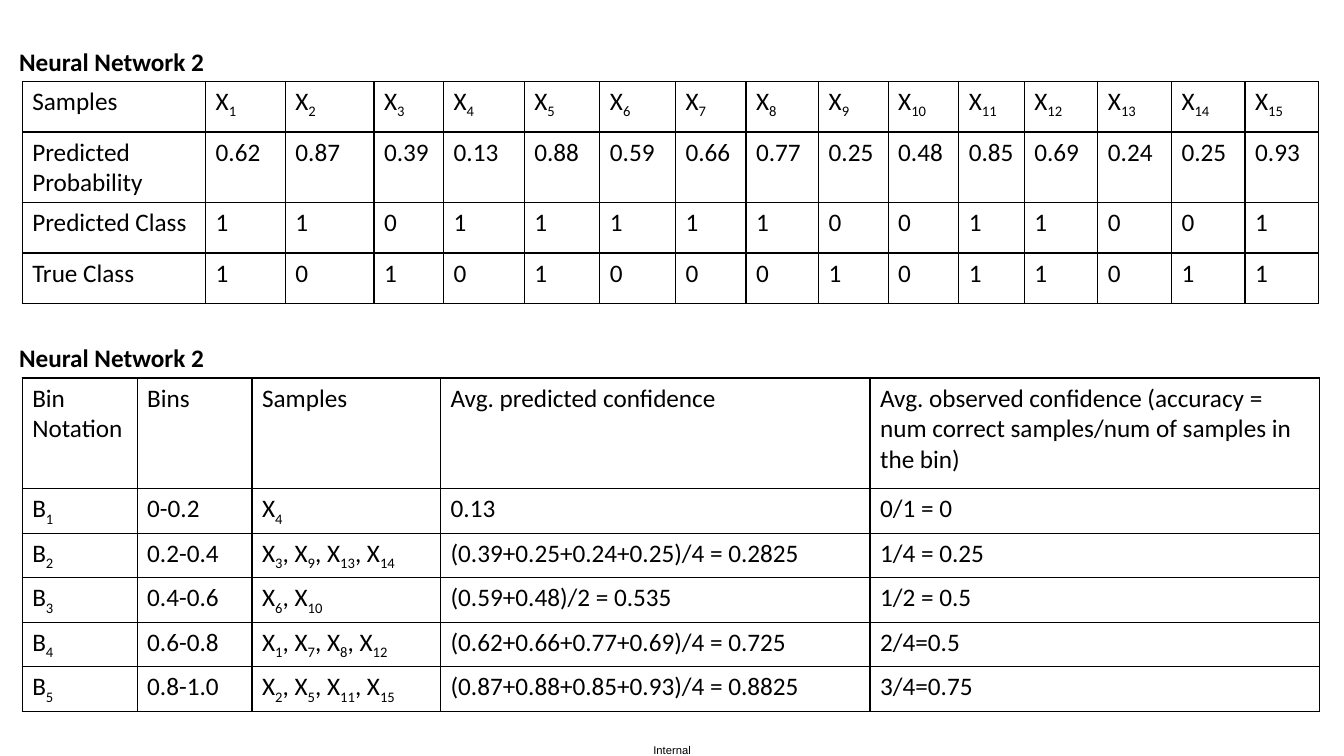
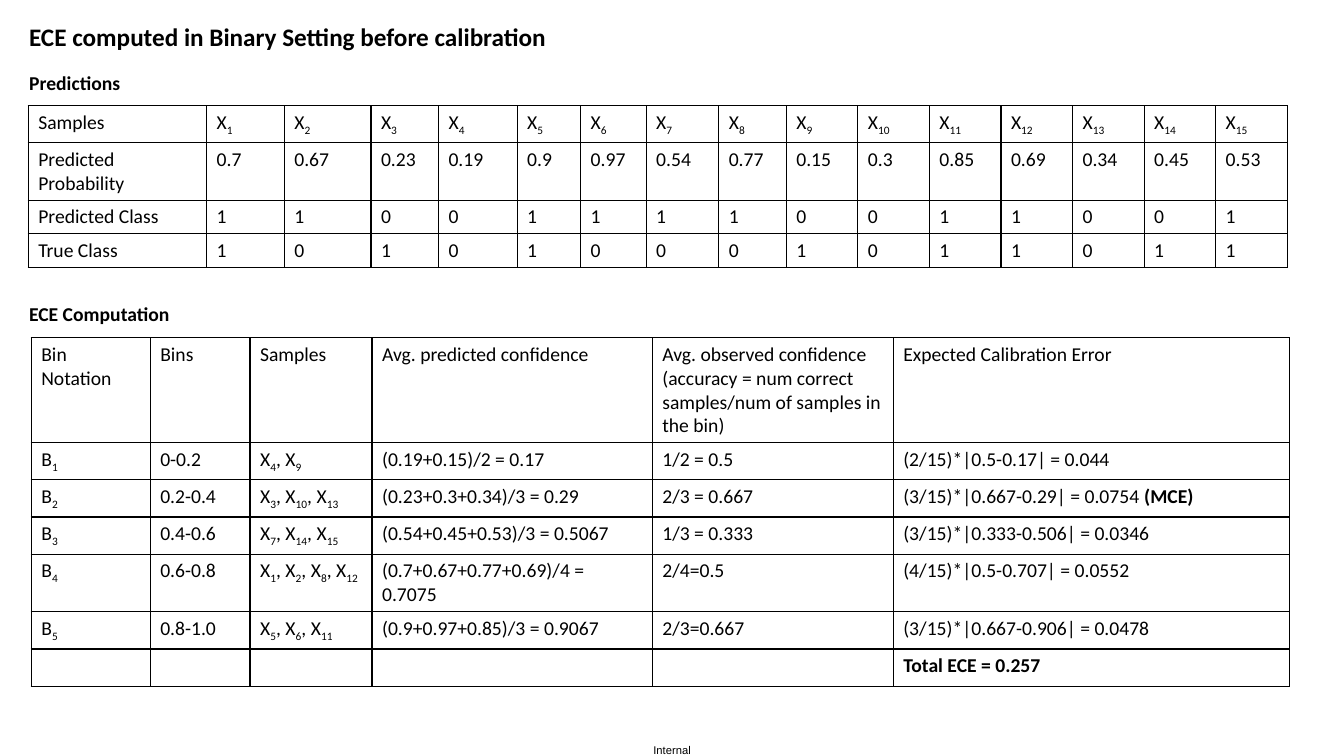
import itertools

import pptx
import pptx.dml.color
import pptx.enum.text
import pptx.oxml
import pptx.oxml.ns
import pptx.util
from pptx.util import Inches

INK = "000000"
PAPER = "FFFFFF"
BODY_FONT = "Calibri"
FOOTER_FONT = "Arial"
DIGITS = "0123456789"
BIN_RANGES = ["0-0.2", "0.2-0.4", "0.4-0.6", "0.6-0.8", "0.8-1.0"]
BIN_HEADER = [
    "Bin Notation",
    "Bins",
    "Samples",
    "Avg. predicted confidence",
    "Avg. observed confidence (accuracy = num correct samples/num of samples in the bin)",
]
TRUE_CLASSES = "101010001011011"
FRAME = {
    "word_wrap": True,
    "auto_size": pptx.enum.text.MSO_AUTO_SIZE.SHAPE_TO_FIT_TEXT,
}
NO_MARGINS = {f"margin_{side}": 0 for side in ("left", "top", "right", "bottom")}
PLAIN_TABLE = {"first_row": False, "horz_banding": False}


def colour(code):
    return pptx.dml.color.RGBColor.from_string(code)


def apply(target, values):
    for name, value in values.items():
        setattr(target, name, value)


def add_run(paragraph, text, size, bold=False, font=BODY_FONT, subscript=False):
    run = paragraph.add_run()
    run.text = text
    apply(run.font, {"name": font, "size": pptx.util.Pt(size), "bold": bold})
    run.font.color.rgb = colour(INK)
    if subscript:
        run.font._element.set("baseline", "-25000")


def write_marked(paragraph, text, size):
    """Write text in which _12 is a subscript and **word** is bold."""
    for index, span in enumerate(text.split("**")):
        bold = index % 2 == 1
        for position, part in enumerate(span.split("_")):
            rest = part.lstrip(DIGITS) if position else part
            subscript = part[: len(part) - len(rest)]
            if subscript:
                add_run(paragraph, subscript, size, bold, subscript=True)
            if rest:
                add_run(paragraph, rest, size, bold)


def set_empty_size(paragraph, size):
    ending = paragraph._p.get_or_add_endParaRPr()
    ending.set("sz", str(size * 100))


def add_borders(cell):
    properties = cell._tc.get_or_add_tcPr()
    for side in "LRTB":
        properties.append(pptx.oxml.parse_xml(
            f'<a:ln{side} {pptx.oxml.ns.nsdecls("a")} w="12700">'
            f'<a:solidFill><a:srgbClr val="{INK}"/></a:solidFill></a:ln{side}>'
        ))


def add_grid(slide, left, top, widths, heights, rows, size):
    grid = slide.shapes.add_table(
        len(rows), len(widths), Inches(left), Inches(top),
        Inches(sum(widths)), Inches(sum(heights)),
    ).table
    apply(grid, PLAIN_TABLE)
    for column, width in zip(grid.columns, widths):
        column.width = Inches(width)
    for row, height, texts in zip(grid.rows, heights, rows):
        row.height = Inches(height)
        for cell, text in zip(row.cells, texts):
            add_borders(cell)
            cell.fill.background()
            paragraph = cell.text_frame.paragraphs[0]
            if text:
                write_marked(paragraph, text, size)
            else:
                set_empty_size(paragraph, size)


def add_label(slide, box, text, size, bold=True, font=BODY_FONT, margins=None):
    frame = slide.shapes.add_textbox(*map(Inches, box)).text_frame
    apply(frame, {**FRAME, **(margins or {})})
    add_run(frame.paragraphs[0], text, size, bold, font)


def new_slide(deck):
    slide = deck.slides.add_slide(deck.slide_layouts[6])
    slide.background.fill.solid()
    slide.background.fill.fore_color.rgb = colour(PAPER)
    add_label(slide, (6.48, 7.37, 0.4, 0.13), "Internal", 8, False, FOOTER_FONT, NO_MARGINS)
    return slide


def sample_names(numbers):
    return [f"X_{number}" for number in numbers]


def prediction_rows(probabilities, predicted_classes):
    return [
        ["Samples", *sample_names(range(1, 16))],
        ["Predicted Probability", *probabilities.split()],
        ["Predicted Class", *predicted_classes],
        ["True Class", *TRUE_CLASSES],
    ]


def bin_rows(bins):
    return [
        [f"B_{number}", bounds, ", ".join(sample_names(members)), *results]
        for number, bounds, (members, *results) in zip(itertools.count(1), BIN_RANGES, bins)
    ]


def build_network_slide(deck):
    slide = new_slide(deck)
    for top in (0.41, 3.35):
        add_label(slide, (0.09, top, 2.51, 0.4), "Neural Network 2", 18)
    predictions = prediction_rows(
        "0.62 0.87 0.39 0.13 0.88 0.59 0.66 0.77 0.25 0.48 0.85 0.69 0.24 0.25 0.93",
        "110111110011001",
    )
    add_grid(
        slide, 0.22, 0.81,
        [1.82, 0.79, 0.88, 0.69, 0.8, 0.75, 0.75, 0.7, 0.72, 0.69, 0.7, 0.65] + [0.73] * 4,
        [0.5, 0.7, 0.5, 0.5], predictions, 18,
    )
    bins = [
        ([4], "0.13", "0/1 = 0"),
        ([3, 9, 13, 14], "(0.39+0.25+0.24+0.25)/4 = 0.2825", "1/4 = 0.25"),
        ([6, 10], "(0.59+0.48)/2 = 0.535", "1/2 = 0.5"),
        ([1, 7, 8, 12], "(0.62+0.66+0.77+0.69)/4 = 0.725", "2/4=0.5"),
        ([2, 5, 11, 15], "(0.87+0.88+0.85+0.93)/4 = 0.8825", "3/4=0.75"),
    ]
    add_grid(
        slide, 0.22, 3.75, [1.14, 1.14, 1.87, 4.26, 4.46], [1.1] + [0.44] * 5,
        [BIN_HEADER, *bin_rows(bins)], 18,
    )


def build_calibration_slide(deck):
    slide = new_slide(deck)
    add_label(
        slide, (0.19, 0.16, 7.15, 0.4),
        "ECE computed in Binary Setting before calibration", 18,
    )
    add_label(slide, (0.19, 0.65, 2.51, 0.34), "Predictions", 14)
    predictions = prediction_rows(
        "0.7 0.67 0.23 0.19 0.9 0.97 0.54 0.77 0.15 0.3 0.85 0.69 0.34 0.45 0.53",
        "110011110011001",
    )
    add_grid(
        slide, 0.28, 1.05,
        [1.77, 0.77, 0.86, 0.67, 0.78, 0.63, 0.65, 0.72, 0.67] + [0.71] * 7,
        [0.36, 0.57, 0.33, 0.33], predictions, 14,
    )
    add_label(slide, (0.19, 2.95, 3.4, 0.34), "ECE Computation", 14)
    bins = [
        ([4, 9], "(0.19+0.15)/2 = 0.17", "1/2 = 0.5", "(2/15)*|0.5-0.17| = 0.044"),
        ([3, 10, 13], "(0.23+0.3+0.34)/3 = 0.29", "2/3 = 0.667",
         "(3/15)*|0.667-0.29| = 0.0754 **(MCE)**"),
        ([7, 14, 15], "(0.54+0.45+0.53)/3 = 0.5067", "1/3 = 0.333",
         "(3/15)*|0.333-0.506| = 0.0346"),
        ([1, 2, 8, 12], "(0.7+0.67+0.77+0.69)/4 = 0.7075", "2/4=0.5",
         "(4/15)*|0.5-0.707| = 0.0552"),
        ([5, 6, 11], "(0.9+0.97+0.85)/3 = 0.9067", "2/3=0.667",
         "(3/15)*|0.667-0.906| = 0.0478"),
    ]
    total = [""] * 5 + ["**Total ECE = 0.257**"]
    add_grid(
        slide, 0.31, 3.35, [1.18, 0.99, 1.21, 2.78, 2.39, 3.93],
        [1.04, 0.37, 0.37, 0.37, 0.57, 0.37, 0.37],
        [[*BIN_HEADER, "Expected Calibration Error"], *bin_rows(bins), total], 14,
    )


def main():
    deck = pptx.Presentation()
    apply(deck, {"slide_width": Inches(13.33), "slide_height": Inches(7.5)})
    build_network_slide(deck)
    build_calibration_slide(deck)
    deck.save("out.pptx")


if __name__ == "__main__":
    main()
